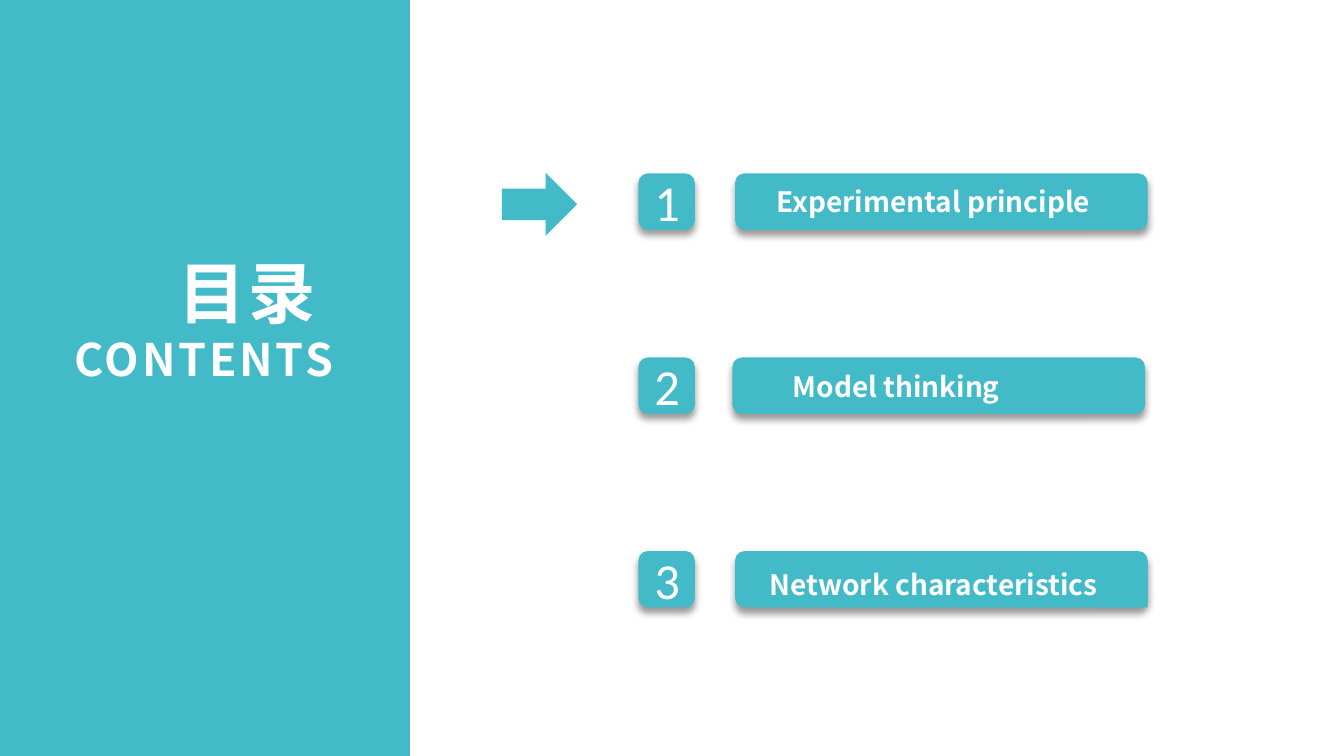
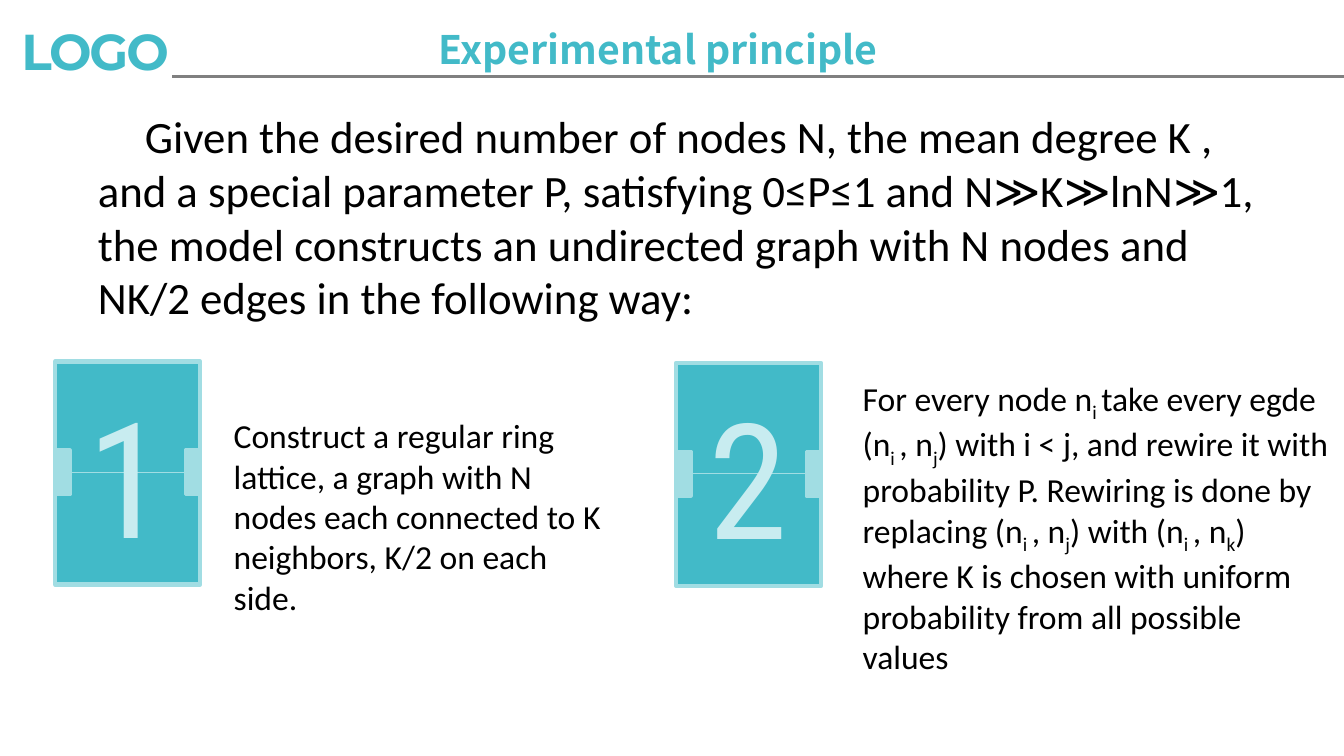
from pptx import Presentation
from pptx.util import Inches, Pt
from pptx.dml.color import RGBColor
from pptx.enum.shapes import MSO_SHAPE, MSO_CONNECTOR
from pptx.enum.text import PP_ALIGN, MSO_ANCHOR
from pptx.oxml.ns import qn
from lxml.etree import SubElement

# Content
ITEMS = [  # row top, bar left, label, label box, label filled
    (1.29, 5.47, "Experimental principle", (5.68, 1.32, 2.85, 0.35), False),
    (2.66, 5.45, "Model thinking", (5.8, 2.7, 2.17, 0.35), True),
    (4.1, 5.47, "Network characteristics", (5.63, 4.17, 2.91, 0.35), True),
]
INTRO = ("Given the desired number of nodes N, the mean degree K , and a "
         "special parameter P, satisfying 0≤P≤1 and N≫K≫lnN≫1, the model "
         "constructs an undirected graph with N nodes and NK/2 edges in the "
         "following way:")
# Text between a pair of ~ is subscript
STEPS = [  # card left, card top, text, text box
    (0.41, 2.69,
     "Construct a regular ring lattice, a graph with N nodes each connected "
     "to K neighbors, K/2 on each side.", (1.64, 3.04, 3.02, 1.9)),
    (5.03, 2.7,
     "For every node n~i ~take every egde (n~i ~, n~j~) with i < j, and "
     "rewire it with probability P. Rewiring is done by replacing "
     "(n~i ~, n~j~) with (n~i ~, n~k~) where K is chosen with uniform "
     "probability from all possible values", (6.32, 2.76, 3.68, 3.19)),
]

# Style
WIDE = 10
HIGH = WIDE * 9 / 16
TEAL = RGBColor(0x42, 0xBA, 0xC8)
PALE = RGBColor(0xA1, 0xDD, 0xE3)
MIST = RGBColor(0xC8, 0xEC, 0xF0)
GRAY = RGBColor(0x80, 0x80, 0x80)
WHITE = RGBColor(0xFF, 0xFF, 0xFF)
BLACK = RGBColor(0, 0, 0)
BODY, HEAD, BRAND, DIGIT = ("Calibri", "Noto Sans CJK SC", "Montserrat",
                            "Roboto Condensed")
LEFT, MID, RIGHT = PP_ALIGN.LEFT, PP_ALIGN.CENTER, PP_ALIGN.RIGHT


def write(frame, text, size=18, font=BODY, color=BLACK, bold=False,
          align=LEFT, gap=0, first=0):
    """Put one paragraph into a frame, after any text already there."""
    para = frame.paragraphs[0]
    if para.runs:
        para = frame.add_paragraph()
    para.alignment = align
    if first:
        para._p.get_or_add_pPr().set("indent", str(Inches(first)))
    for num, part in enumerate(text.split("~")):
        run = para.add_run()
        run.text = part
        run.font.size, run.font.name, run.font.bold = Pt(size), font, bold
        run.font.color.rgb = color
        props = run._r.get_or_add_rPr()
        SubElement(props, qn("a:ea")).set("typeface", font)
        if gap:
            props.set("spc", str(round(gap * 100)))
        if num % 2:
            props.set("baseline", "-25000")


def label(slide, box, text, wrap=True, fill=None, **style):
    item = slide.shapes.add_textbox(*map(Inches, box))
    item.text_frame.word_wrap = wrap
    if fill is not None:
        item.fill.solid()
        item.fill.fore_color.rgb = fill
    write(item.text_frame, text, **style)
    return item


def block(slide, kind, box, fill=TEAL, line=None, width=2, adj=None,
          shade=False):
    item = slide.shapes.add_shape(kind, *map(Inches, box))
    item.fill.solid()
    item.fill.fore_color.rgb = fill
    if line is None:
        item.line.fill.background()
    else:
        item.line.color.rgb, item.line.width = line, Pt(width)
    if adj is not None:
        item.adjustments[0] = adj
    item.shadow.inherit = False
    if shade:
        cast = SubElement(item._element.spPr.find(qn("a:effectLst")),
                          qn("a:outerShdw"), blurRad=str(Pt(4)),
                          dist=str(Pt(3)), dir="5400000", rotWithShape="0")
        tone = SubElement(cast, qn("a:srgbClr"), val="000000")
        SubElement(tone, qn("a:alpha"), val="40000")
    return item


def rule(slide, start, end, color, width):
    line = slide.shapes.add_connector(MSO_CONNECTOR.STRAIGHT,
                                      *map(Inches, start + end))
    line.line.color.rgb, line.line.width = color, Pt(width)
    SubElement(line._element.spPr, qn("a:effectLst"))
    return line


def card(slide, left, top, digit):
    """A flip-clock card: plate, two clips, a fold line and a digit."""
    block(slide, MSO_SHAPE.ROUNDED_RECTANGLE, (left, top, 1.08, 1.66),
          line=PALE, width=2.25, adj=0)
    clips = [block(slide, MSO_SHAPE.RECTANGLE,
                   (left + dx, top + 0.66, 0.11, 0.33), PALE, line=PALE)
             for dx in (0, 0.97)]
    mid = top + 0.83
    fold = rule(slide, (left + 0.11, mid), (left + 0.97, mid), PALE, 0.75)
    fold.begin_connect(clips[0], 3)
    fold.end_connect(clips[1], 1)
    label(slide, (left + 0.06, top + 0.07, 0.96, 1.54), digit, wrap=False,
          size=86.3, font=DIGIT, color=MIST, align=MID)


def contents(slide):
    block(slide, MSO_SHAPE.RECTANGLE, (0, 0, 3.05, HIGH))
    for num, (top, left, text, box, filled) in enumerate(ITEMS, 1):
        badge, _ = [block(slide, MSO_SHAPE.ROUNDED_RECTANGLE,
                          (x, top, wide, 0.42), adj=0.167, shade=True)
                    for x, wide in ((4.75, 0.42), (left, 3.07))]
        badge.text_frame.vertical_anchor = MSO_ANCHOR.MIDDLE
        write(badge.text_frame, str(num), size=27, color=WHITE, align=MID)
        label(slide, box, text, fill=TEAL if filled else None, size=15,
              font=HEAD, color=WHITE, bold=True)
    # Title on the side band
    style = dict(font=HEAD, color=WHITE, bold=True, align=RIGHT, gap=1.5)
    title = label(slide, (0.28, 1.82, 2.3, 1.1), "目录 ", size=36, **style)
    write(title.text_frame, "CONTENTS", size=24, **style)
    # Pointer to the current item
    arrow = block(slide, MSO_SHAPE.DOWN_ARROW, (3.78, 1.24, 0.47, 0.56))
    arrow.rotation = 270


def header(slide, title):
    label(slide, (0.06, 0.1, 1.39, 0.55), "LOGO", size=27, font=BRAND,
          color=TEAL, bold=True, gap=-1.1)
    rule(slide, (1.28, 0.57), (WIDE, 0.57), GRAY, 2)
    label(slide, (1.42, 0.14, 6.95, 0.45), title, size=21, font=HEAD,
          color=TEAL, bold=True, align=MID)


def principle(slide):
    header(slide, ITEMS[0][2])
    for num, (left, top, _, _) in enumerate(STEPS, 1):
        card(slide, left, top, str(num))
    intro = label(slide, (0.63, 0.7, 9.02, 2.16), INTRO, size=24, first=0.35)
    intro.text_frame.margin_top = Inches(0.11)
    for _, _, text, box in STEPS:
        label(slide, box, text)


def main():
    deck = Presentation()
    deck.slide_width, deck.slide_height = Inches(WIDE), Inches(HIGH)
    for build in (contents, principle):
        build(deck.slides.add_slide(deck.slide_layouts[6]))
    deck.save("out.pptx")


if __name__ == "__main__":
    main()
